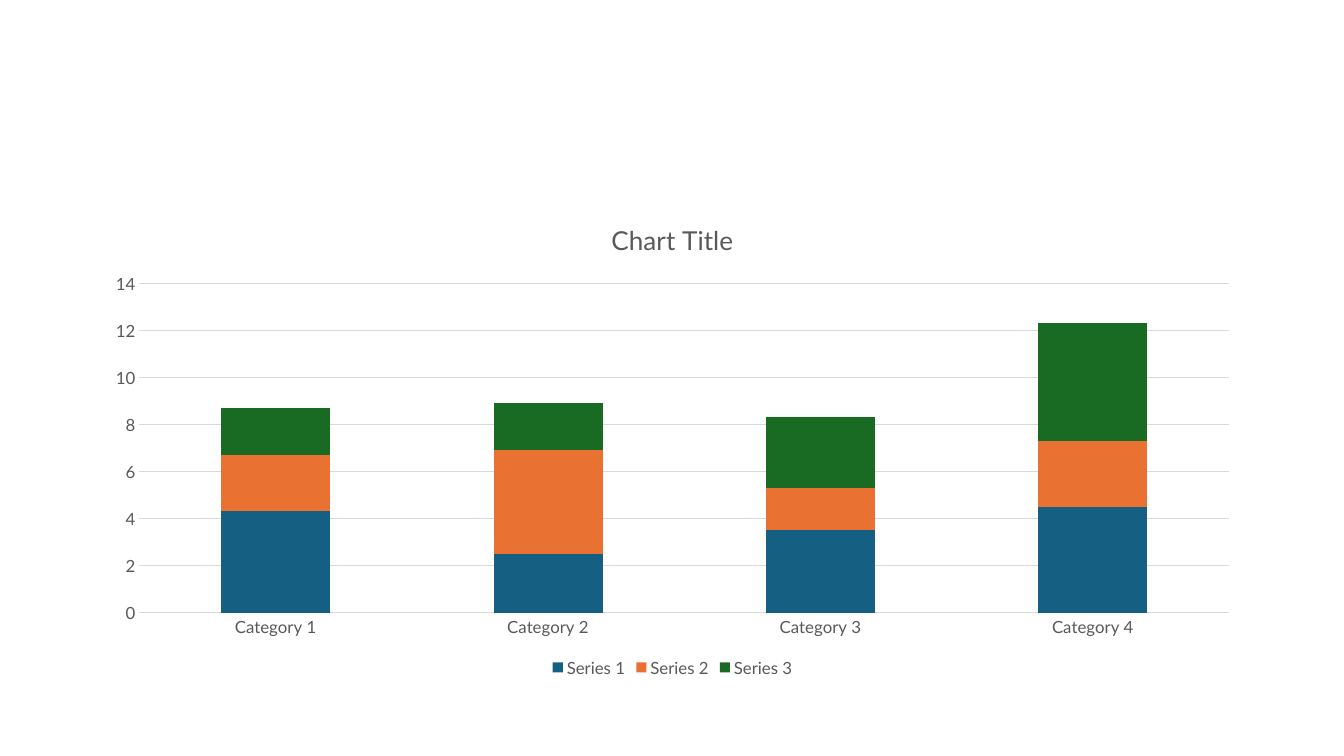
import pptx
import pptx.chart.data
import pptx.dml.color
import pptx.enum.chart
import pptx.util
from pptx.util import Inches

RGBColor = pptx.dml.color.RGBColor
TEXT_GRAY = RGBColor(0x59, 0x59, 0x59)
LINE_GRAY = RGBColor(0xD9, 0xD9, 0xD9)
BLUE = RGBColor(0x15, 0x60, 0x82)
ORANGE = RGBColor(0xE9, 0x71, 0x32)
GREEN = RGBColor(0x19, 0x6B, 0x24)

FONT_NAME = "Lato"
CATEGORIES = ["Category 1", "Category 2", "Category 3", "Category 4"]
SERIES = [
    ("Series 1", (4.3, 2.5, 3.5, 4.5), BLUE),
    ("Series 2", (2.4, 4.4, 1.8, 2.8), ORANGE),
    ("Series 3", (2, 2, 3, 5), GREEN),
]


def format_font(font, size=12, color=TEXT_GRAY):
    font.name = FONT_NAME
    font.size = pptx.util.Pt(size)
    font.bold = False
    font.color.rgb = color


def add_chart_title(chart, text, **text_format):
    chart.has_title = True
    chart.chart_title.include_in_layout = False
    span = chart.chart_title.text_frame.paragraphs[0].add_run()
    span.text = text
    format_font(span.font, **text_format)


def format_line(line, color=LINE_GRAY, width=0.75):
    line.color.rgb = color
    line.width = pptx.util.Pt(width)


def format_axes(chart):
    for axis in (chart.category_axis, chart.value_axis):
        axis.major_tick_mark = pptx.enum.chart.XL_TICK_MARK.NONE
        axis.minor_tick_mark = pptx.enum.chart.XL_TICK_MARK.NONE
        format_font(axis.tick_labels.font)
    format_line(chart.category_axis.format.line)
    chart.value_axis.format.line.fill.background()
    chart.value_axis.has_major_gridlines = True
    format_line(chart.value_axis.major_gridlines.format.line)


def add_legend(chart):
    chart.has_legend = True
    chart.legend.position = pptx.enum.chart.XL_LEGEND_POSITION.BOTTOM
    chart.legend.include_in_layout = False
    format_font(chart.legend.font)


def add_stacked_chart(page, left, top, width, height):
    data = pptx.chart.data.CategoryChartData()
    data.categories = CATEGORIES
    for name, values, _ in SERIES:
        data.add_series(name, values)
    chart = page.shapes.add_chart(
        pptx.enum.chart.XL_CHART_TYPE.COLUMN_STACKED,
        left, top, width, height, data,
    ).chart
    format_font(chart.font)
    add_chart_title(chart, "Chart Title", size=18.6)
    format_axes(chart)
    add_legend(chart)

    plot = chart.plots[0]
    plot.gap_width = 150
    plot.overlap = 100
    plot.vary_by_categories = False
    for series, (_, _, color) in zip(plot.series, SERIES):
        series.invert_if_negative = False
        series.format.fill.solid()
        series.format.fill.fore_color.rgb = color


def main():
    deck = pptx.Presentation()
    deck.slide_width = Inches(13.33)
    deck.slide_height = Inches(7.5)
    blank_layout = deck.slide_layouts[6]
    page = deck.slides.add_slide(blank_layout)
    add_stacked_chart(page, Inches(0.92), Inches(2), Inches(11.5), Inches(4.76))
    deck.save("out.pptx")


if __name__ == "__main__":
    main()
